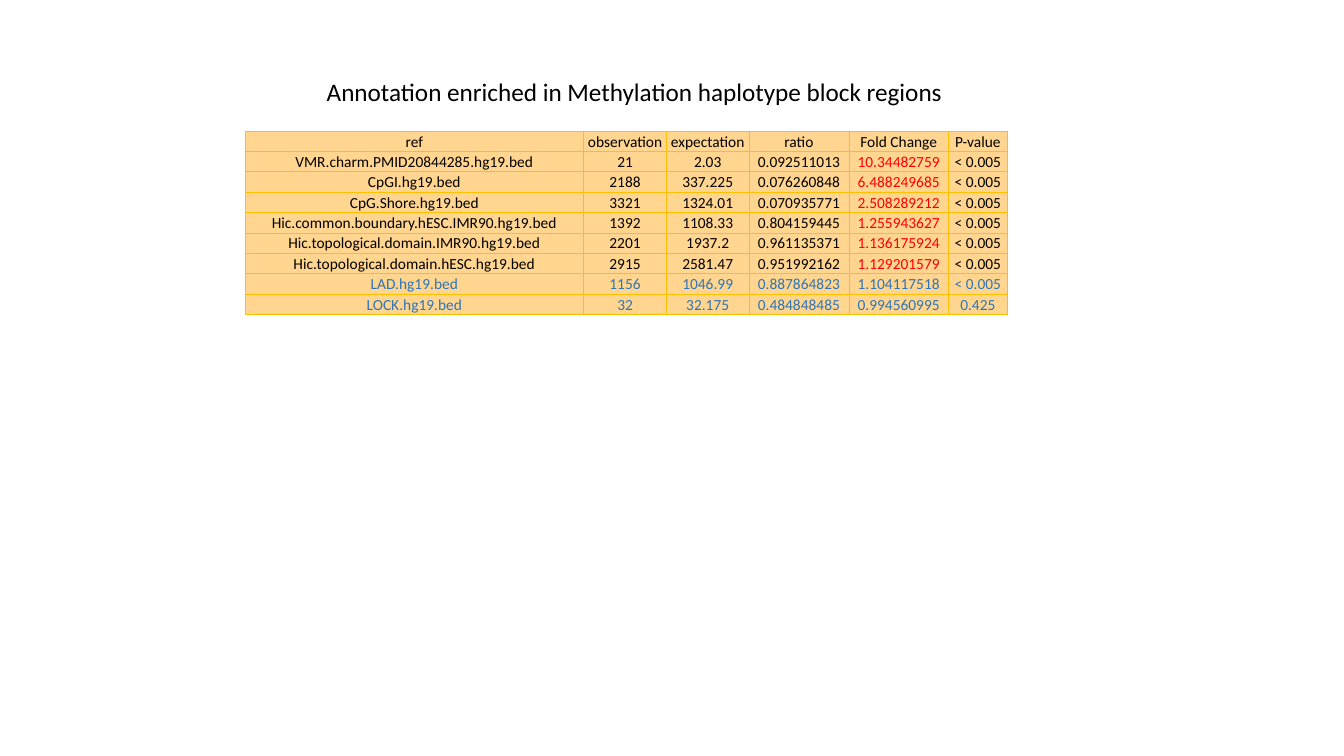
from lxml.etree import SubElement
from pptx import Presentation
from pptx.dml.color import RGBColor
from pptx.enum.text import MSO_ANCHOR as Anchor, MSO_AUTO_SIZE as AutoSize, PP_ALIGN as Align
from pptx.oxml.ns import qn
from pptx.util import Pt

PX = 9144  # EMU per px, 100 px to the inch
BLACK = RGBColor(0x00, 0x00, 0x00)
RED = RGBColor(0xFF, 0x00, 0x00)
BLUE = RGBColor(0x2E, 0x75, 0xB6)
GOLD = RGBColor(0xFF, 0xC0, 0x00)
SAND = RGBColor(0xFF, 0xD5, 0x8F)

TITLE = "Annotation enriched in Methylation haplotype block regions"
COLUMN_WIDTHS = [336, 82, 82, 99, 99, 58]
FOLD_CHANGE = 4
HEADER = ["ref", "observation", "expectation", "ratio", "Fold Change", "P-value"]
ENRICHED = [
    ["VMR.charm.PMID20844285.hg19.bed", "21", "2.03", "0.092511013", "10.34482759", "< 0.005"],
    ["CpGI.hg19.bed", "2188", "337.225", "0.076260848", "6.488249685", "< 0.005"],
    ["CpG.Shore.hg19.bed", "3321", "1324.01", "0.070935771", "2.508289212", "< 0.005"],
    ["Hic.common.boundary.hESC.IMR90.hg19.bed", "1392", "1108.33", "0.804159445", "1.255943627", "< 0.005"],
    ["Hic.topological.domain.IMR90.hg19.bed", "2201", "1937.2", "0.961135371", "1.136175924", "< 0.005"],
    ["Hic.topological.domain.hESC.hg19.bed", "2915", "2581.47", "0.951992162", "1.129201579", "< 0.005"],
]
OTHER = [
    ["LAD.hg19.bed", "1156", "1046.99", "0.887864823", "1.104117518", "< 0.005"],
    ["LOCK.hg19.bed", "32", "32.175", "0.484848485", "0.994560995", "0.425"],
]


class SlideBuilder:
    font = "Calibri"
    title_size = 18
    table_size = 11
    border_width = 0.5

    def __init__(self, deck):
        self.page = deck.slides.add_slide(deck.slide_layouts[5])

    def add_span(self, para, text, size, color):
        span = para.add_run()
        span.text = text
        span.font.name = self.font
        span.font.size = Pt(size)
        span.font.color.rgb = color

    def title(self, text, left, top, width, height):
        box = self.page.shapes.title
        box.left, box.top, box.width, box.height = (n * PX for n in (left, top, width, height))
        frame = box.text_frame
        frame.word_wrap = False
        frame.auto_size = AutoSize.SHAPE_TO_FIT_TEXT
        frame.vertical_anchor = Anchor.TOP
        para = frame.paragraphs[0]
        para.alignment = Align.LEFT
        self.add_span(para, text, self.title_size, BLACK)

    def border(self, cell):
        properties = cell._tc.get_or_add_tcPr()
        for side in ("a:lnL", "a:lnR", "a:lnT", "a:lnB"):
            line = SubElement(properties, qn(side), w=str(Pt(self.border_width)))
            fill = SubElement(line, qn("a:solidFill"))
            SubElement(fill, qn("a:srgbClr"), val=str(GOLD))

    def cell(self, cell, text, color):
        self.border(cell)
        cell.fill.solid()
        cell.fill.fore_color.rgb = SAND
        cell.margin_left = cell.margin_right = cell.margin_top = PX
        cell.margin_bottom = 0
        cell.vertical_anchor = Anchor.BOTTOM
        para = cell.text_frame.paragraphs[0]
        para.alignment = Align.CENTER
        self.add_span(para, text, self.table_size, color)

    def table(self, rows, widths, left, top, height, color_of):
        frame = self.page.shapes.add_table(
            len(rows), len(widths), left * PX, top * PX, sum(widths) * PX, height * PX)
        table = frame.table
        table.first_row = table.horz_banding = False
        for column, width in zip(table.columns, widths):
            column.width = width * PX
        for r, texts in enumerate(rows):
            table.rows[r].height = height * PX // len(rows)
            for c, text in enumerate(texts):
                self.cell(table.cell(r, c), text, color_of(r, c))


def annotation_color(row, column):
    if row > len(ENRICHED):
        return BLUE
    return RED if row > 0 and column == FOLD_CHANGE else BLACK


def main():
    deck = Presentation()
    deck.slide_width, deck.slide_height = 1333 * PX, 750 * PX
    builder = SlideBuilder(deck)

    # Heading
    builder.title(TITLE, 314, 71, 638, 40)

    # Enrichment table
    builder.table([HEADER] + ENRICHED + OTHER, COLUMN_WIDTHS, 243, 130, 182, annotation_color)

    deck.save("out.pptx")


if __name__ == "__main__":
    main()
